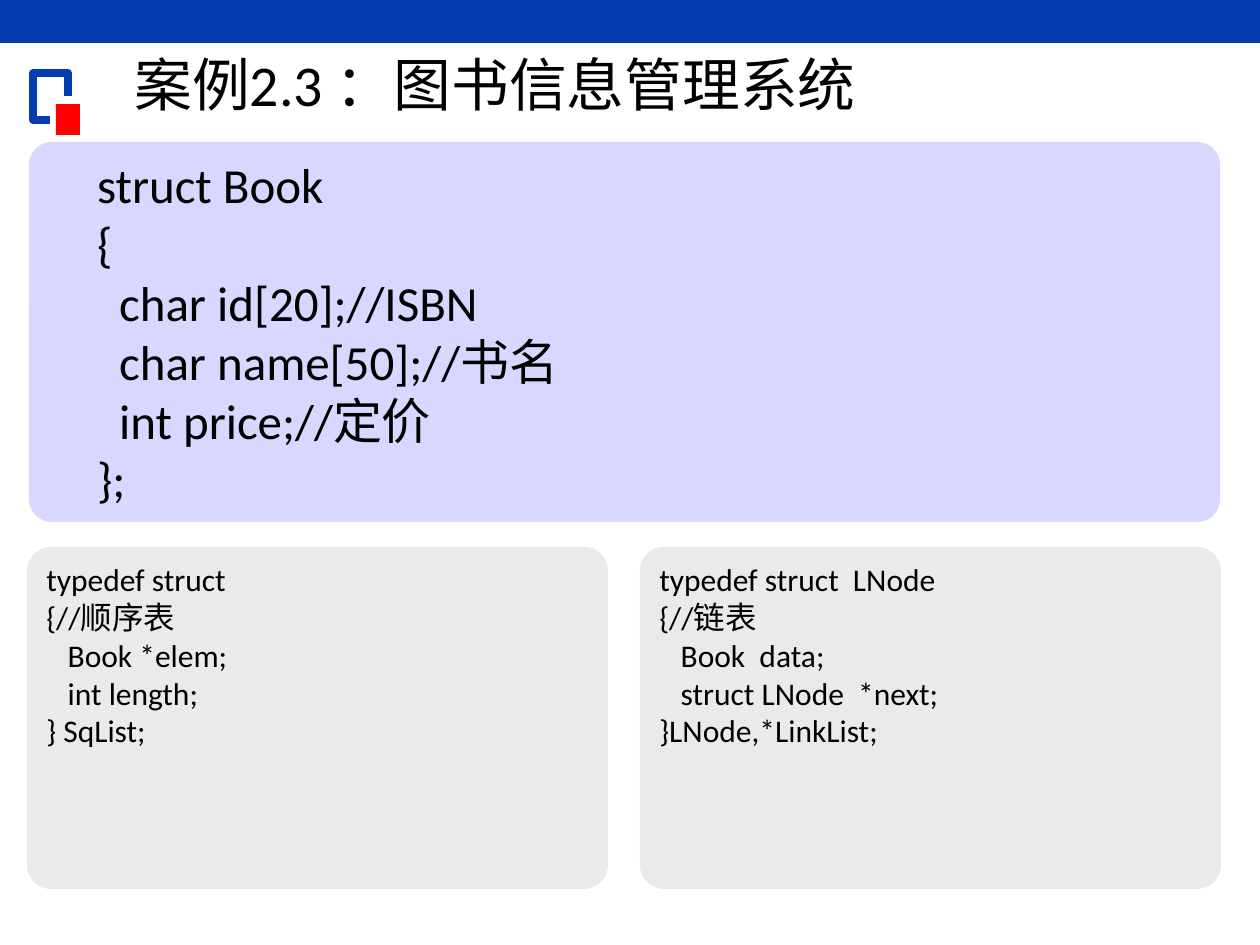
from dataclasses import dataclass

from pptx import Presentation
from pptx.dml.color import RGBColor
from pptx.enum.shapes import MSO_SHAPE
from pptx.enum.text import MSO_ANCHOR, PP_ALIGN
from pptx.util import Emu, Pt

TITLE = "案例2.3 ：图书信息管理系统"
BOOK_CODE = [
    "struct Book",
    "{",
    "  char id[20];//ISBN",
    "  char name[50];//书名",
    "  int price;//定价",
    "};",
]
LIST_CODES = [
    [
        "typedef struct",
        "{//顺序表",
        "   Book *elem;",
        "   int length;",
        "} SqList;",
    ],
    [
        "typedef struct  LNode",
        "{//链表",
        "   Book  data;",
        "   struct LNode  *next;",
        "}LNode,*LinkList;",
    ],
]


@dataclass(frozen=True)
class Theme:
    font: str = "Calibri"
    ink: RGBColor = RGBColor(0, 0, 0)
    blue: RGBColor = RGBColor(0x05, 0x3C, 0xAF)
    red: RGBColor = RGBColor(0xFF, 0, 0)
    lavender: RGBColor = RGBColor(0xD7, 0xD7, 0xFF)
    gray: RGBColor = RGBColor(0xEA, 0xEA, 0xEA)
    title_size: Pt = Pt(33)
    book_size: Pt = Pt(28)
    list_size: Pt = Pt(18)


THEME = Theme()
WIDTH, HEIGHT = 1260, 945
EMU_PER_PX = 914400 / 126
BOOK_INDENT = 49
LIST_LEFT, LIST_TOP, LIST_WIDTH, LIST_HEIGHT, LIST_GAP = 27, 547, 581, 342, 32
CORNER = 24
BRACKET = [(50, 120), (33, 120), (33, 73), (68, 73), (68, 96)]


def px(length):
    return Emu(round(length * EMU_PER_PX))


def add_block(slide, kind, box, color):
    block = slide.shapes.add_shape(kind, *map(px, box))
    block.shadow.inherit = False
    block.fill.solid()
    block.fill.fore_color.rgb = color
    block.line.fill.background()
    return block


def style(paragraph, size):
    paragraph.alignment = PP_ALIGN.LEFT
    paragraph.font.name = THEME.font
    paragraph.font.size = size
    paragraph.font.color.rgb = THEME.ink


def add_code(slide, lines, box, color, size, indent=0):
    panel = add_block(slide, MSO_SHAPE.ROUNDED_RECTANGLE, box, color)
    panel.adjustments[0] = round(CORNER / box[3], 2)
    frame = panel.text_frame
    frame.word_wrap = True
    frame.vertical_anchor = MSO_ANCHOR.TOP
    for number, line in enumerate(lines):
        paragraph = frame.paragraphs[0] if number == 0 else frame.add_paragraph()
        paragraph.text = line
        if indent:
            properties = paragraph._p.get_or_add_pPr()
            properties.set("marL", str(px(indent)))
            properties.set("indent", "0")
        style(paragraph, size)


def add_bracket(slide):
    builder = slide.shapes.build_freeform(*BRACKET[0], scale=EMU_PER_PX)
    builder.add_line_segments(BRACKET[1:], close=False)
    bracket = builder.convert_to_shape()
    bracket.shadow.inherit = False
    bracket.fill.background()
    bracket.line.color.rgb = THEME.blue
    bracket.line.width = Pt(4.5)


def add_title(slide):
    heading = slide.shapes.add_textbox(*map(px, (122, 34, 808, 108)))
    frame = heading.text_frame
    frame.word_wrap = True
    frame.vertical_anchor = MSO_ANCHOR.MIDDLE
    paragraph = frame.paragraphs[0]
    paragraph.text = TITLE
    paragraph.line_spacing = 0.9
    style(paragraph, THEME.title_size)


def main():
    deck = Presentation()
    deck.slide_width, deck.slide_height = px(WIDTH), px(HEIGHT)
    slide = deck.slides.add_slide(deck.slide_layouts[6])
    add_block(slide, MSO_SHAPE.RECTANGLE, (0, 0, WIDTH, 43), THEME.blue)
    add_bracket(slide)
    add_block(slide, MSO_SHAPE.RECTANGLE, (56, 104, 24, 31), THEME.red)
    add_code(slide, BOOK_CODE, (29, 142, 1191, 380), THEME.lavender,
             THEME.book_size, BOOK_INDENT)
    for column, lines in enumerate(LIST_CODES):
        left = LIST_LEFT + column * (LIST_WIDTH + LIST_GAP)
        add_code(slide, lines, (left, LIST_TOP, LIST_WIDTH, LIST_HEIGHT),
                 THEME.gray, THEME.list_size)
    add_title(slide)
    deck.save("out.pptx")


if __name__ == "__main__":
    main()
